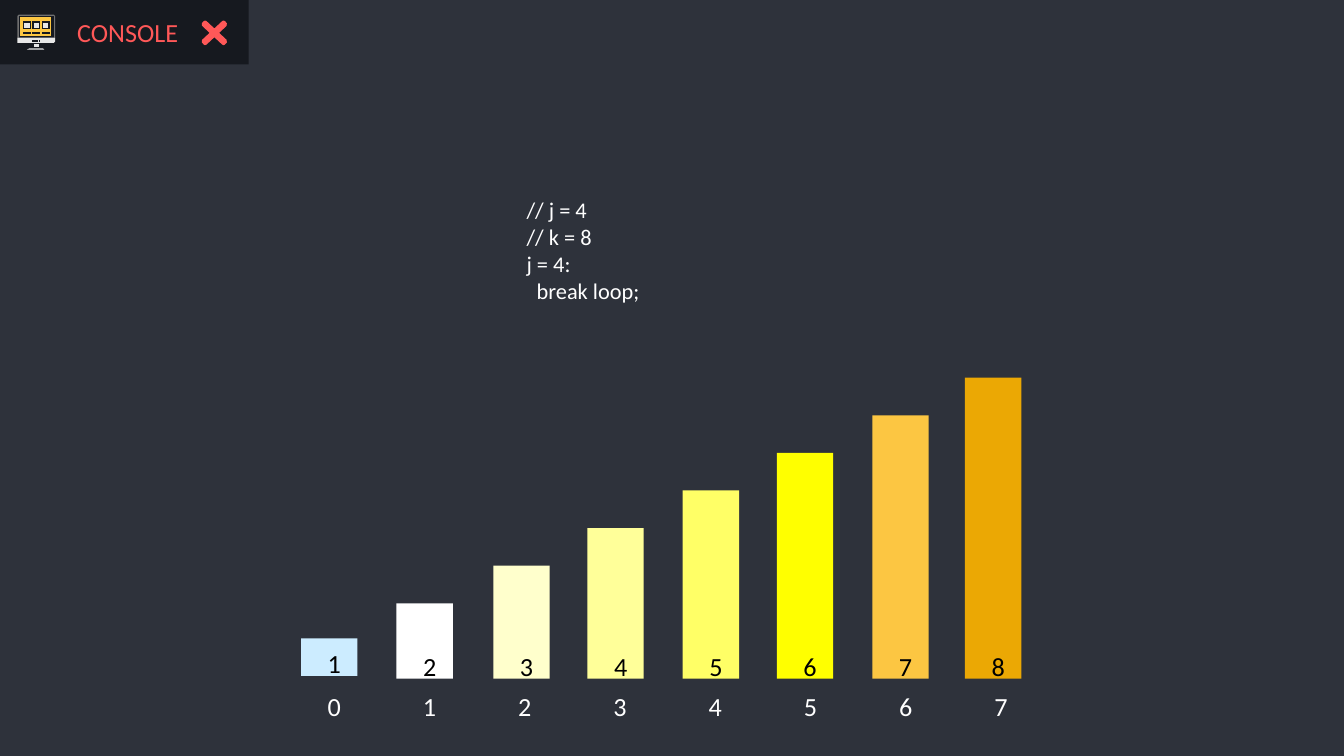
import pptx
import pptx.dml.color
import pptx.enum.shapes
import pptx.enum.text
import pptx.util

Inches = pptx.util.Inches
SHAPES = pptx.enum.shapes.MSO_SHAPE
ANCHOR = pptx.enum.text.MSO_ANCHOR

SLIDE_WIDTH = 10
SLIDE_HEIGHT = SLIDE_WIDTH * 9 / 16

COLORS = {
    "background": "2E323B",
    "header": "16191F",
    "accent": "FF5858",
    "bezel": "707070",
    "screen": "FCC642",
    "light": "E7E7E7",
    "white": "FFFFFF",
    "black": "000000",
}

# left, baseline and colour of each bar; its height follows its value
BARS = [
    (2.24, 5.03, "CCECFF"),
    (2.95, 5.05, "FFFFFF"),
    (3.67, 5.05, "FFFFCC"),
    (4.37, 5.05, "FFFF99"),
    (5.08, 5.05, "FFFF66"),
    (5.78, 5.05, "FFFF00"),
    (6.49, 5.05, "FCC642"),
    (7.18, 5.05, "EBA804"),
]
BAR_WIDTH = 0.42
UNIT_HEIGHT = 0.28
INDEX_LEFT, INDEX_RIGHT = 2.34, 7.3
CODE = "// j = 4\n// k = 8\nj = 4:\n  break loop;"


def rgb(color):
    return pptx.dml.color.RGBColor.from_string(color)


def paint(shape, color):
    shape.shadow.inherit = False
    shape.fill.solid()
    shape.fill.fore_color.rgb = rgb(color)
    shape.line.fill.background()


def add_block(shapes, kind, left, top, width, height, color):
    shape = shapes.add_shape(kind, Inches(left), Inches(top), Inches(width), Inches(height))
    paint(shape, color)
    return shape


def add_outline(shapes, color, points):
    points = [(Inches(x), Inches(y)) for x, y in points]
    builder = shapes.build_freeform(*points[0])
    builder.add_line_segments(points[1:])
    paint(builder.convert_to_shape(), color)


def box(left, top, right, bottom):
    return [(left, top), (right, top), (right, bottom), (left, bottom)]


def format_text(text_frame, size, color):
    for paragraph in text_frame.paragraphs:
        for run in paragraph.runs:
            run.font.name = "Calibri"
            run.font.size = pptx.util.Pt(size)
            run.font.color.rgb = rgb(color)


def add_text(shapes, text, left, top, width, height, size, color):
    text_box = shapes.add_textbox(Inches(left), Inches(top), Inches(width), Inches(height))
    text_frame = text_box.text_frame
    text_frame.word_wrap = True
    text_frame.text = text
    format_text(text_frame, size, color)
    return text_frame


def add_digit(shapes, digit, left, top, color):
    text_frame = add_text(shapes, str(digit), left, top, 0.22, 0.24, 14, color)
    text_frame.auto_size = pptx.enum.text.MSO_AUTO_SIZE.SHAPE_TO_FIT_TEXT


def add_monitor_icon(slide):
    shapes = slide.shapes.add_group_shape().shapes
    dark, light = COLORS["header"], COLORS["light"]
    add_outline(shapes, COLORS["bezel"], [
        (0.13, 0.28), (0.13, 0.12), (0.14, 0.11), (0.4, 0.11), (0.41, 0.12), (0.41, 0.28)])
    add_outline(shapes, dark, box(0.14, 0.12, 0.4, 0.28))
    add_outline(shapes, COLORS["screen"], box(0.15, 0.13, 0.38, 0.27))
    add_outline(shapes, light, [
        (0.13, 0.28), (0.41, 0.28), (0.41, 0.31), (0.4, 0.32), (0.13, 0.32), (0.13, 0.31)])
    add_outline(shapes, light, box(0.25, 0.33, 0.29, 0.35))
    add_outline(shapes, light, [(0.22, 0.36), (0.32, 0.36), (0.33, 0.37), (0.2, 0.37)])
    for left in (0.17, 0.24, 0.31):
        add_outline(shapes, dark, box(left, 0.16, left + 0.06, 0.22))
        add_outline(shapes, light, box(left + 0.01, 0.17, left + 0.05, 0.21))
        add_outline(shapes, dark, box(left, 0.24, left + 0.06, 0.25))
    add_outline(shapes, dark, box(0.24, 0.3, 0.28, 0.31))
    add_outline(shapes, dark, box(0.29, 0.3, 0.3, 0.31))


def add_header(slide):
    tab = add_block(slide.shapes, SHAPES.RECTANGLE, 0, 0, 1.85, 0.48, COLORS["header"])
    text_frame = tab.text_frame
    text_frame.vertical_anchor = ANCHOR.MIDDLE
    text_frame.margin_left = Inches(0.15)
    text_frame.text = "CONSOLE"
    text_frame.paragraphs[0].alignment = pptx.enum.text.PP_ALIGN.CENTER
    format_text(text_frame, 14, COLORS["accent"])

    add_monitor_icon(slide)
    cross = add_block(slide.shapes, SHAPES.MATH_MULTIPLY, 1.45, 0.11, 0.29, 0.27, COLORS["accent"])
    cross.adjustments[0] = 0.076
    cross.line.color.rgb = rgb(COLORS["accent"])
    cross.line.width = pptx.util.Pt(2)


def add_bars(slide):
    index_step = (INDEX_RIGHT - INDEX_LEFT) / (len(BARS) - 1)
    for index, (left, baseline, color) in enumerate(BARS):
        value = index + 1
        height = UNIT_HEIGHT * value
        shapes = slide.shapes.add_group_shape().shapes
        add_block(shapes, SHAPES.RECTANGLE, left, baseline - height, BAR_WIDTH, height, color)
        add_digit(shapes, value, left + 0.1, baseline - 0.26, COLORS["black"])
        add_digit(slide.shapes, index, INDEX_LEFT + index_step * index, 5.09, COLORS["white"])


def main():
    presentation = pptx.Presentation()
    presentation.slide_width = Inches(SLIDE_WIDTH)
    presentation.slide_height = Inches(SLIDE_HEIGHT)
    slide = presentation.slides.add_slide(presentation.slide_layouts[6])
    slide.background.fill.solid()
    slide.background.fill.fore_color.rgb = rgb(COLORS["background"])

    add_header(slide)
    add_bars(slide)
    code = add_text(slide.shapes, CODE, 3.82, 0.98, 2.47, 1.76, 12, COLORS["white"])
    code.vertical_anchor = ANCHOR.MIDDLE
    presentation.save("out.pptx")


if __name__ == "__main__":
    main()
